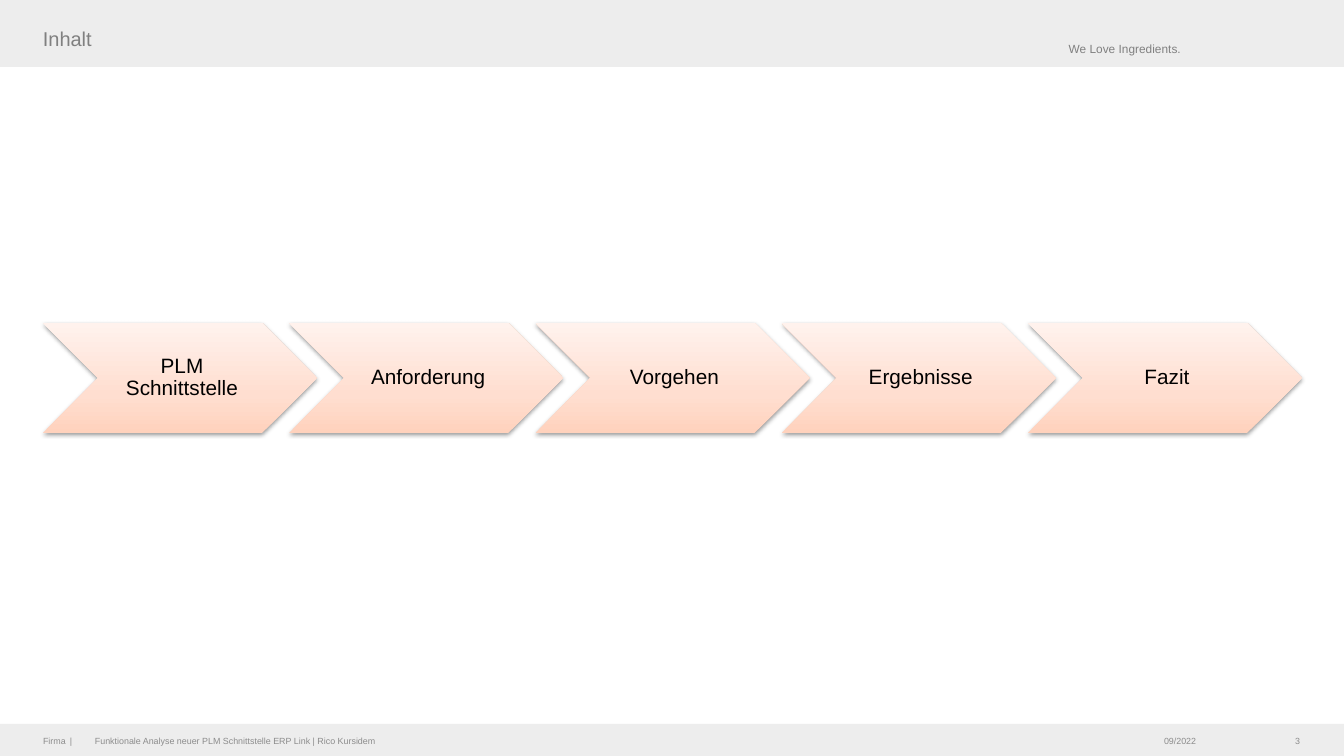
from copy import deepcopy

from pptx import Presentation, util as u
from pptx.dml.color import RGBColor
from pptx.enum import shapes, text
from pptx.oxml import ns, parse_xml

SCALE = 8572.5
LEFT, CENTER, RIGHT = text.PP_ALIGN.LEFT, text.PP_ALIGN.CENTER, text.PP_ALIGN.RIGHT
TOP, MIDDLE = text.MSO_ANCHOR.TOP, text.MSO_ANCHOR.MIDDLE
BAR, GREY, FOOT_GREY = "EDEDED", "808080", "8C8C8C"
STEPS = ["PLM Schnittstelle", "Anforderung", "Vorgehen", "Ergebnisse", "Fazit"]
STEP_WIDTH = 274
GRADIENT = [(0, "FFD2BD"), (0.35, "FFDED0"), (1, "FFF2ED")]
SHADOW = (
    f'<a:outerShdw {ns.nsdecls("a")} blurRad="40000" dist="20000" dir="5400000" '
    'rotWithShape="0"><a:srgbClr val="000000"><a:alpha val="38000"/></a:srgbClr>'
    '</a:outerShdw>'
)


def px(length):
    """Turn pixels into EMU."""
    return u.Emu(round(length * SCALE))


def color(value):
    """Turn a hex string into a colour."""
    return RGBColor.from_string(value)


def apply(target, formats):
    """Set every attribute named in the dict."""
    for name, value in formats.items():
        setattr(target, name, value)


def write(shape, words, size, hue, align=LEFT, anchor=MIDDLE, insets=(11, 5, 11, 5), spacing=1.0):
    """Write one formatted paragraph into a shape."""
    frame = shape.text_frame
    sides = ("margin_left", "margin_top", "margin_right", "margin_bottom")
    apply(frame, dict(zip(sides, map(px, insets)), word_wrap=True, vertical_anchor=anchor))
    para = frame.paragraphs[0]
    apply(para, {"alignment": align, "line_spacing": spacing})
    span = para.add_run()
    span.text = words
    apply(span.font, {"name": "Arial", "size": u.Pt(size)})
    span.font.color.rgb = color(hue)


def label(page, box, words, size, hue, **layout):
    """Add a text box."""
    write(page.shapes.add_textbox(*map(px, box)), words, size, hue, **layout)


def outline_free(page, kind, box):
    """Add a preset shape with neither line nor shadow."""
    shape = page.shapes.add_shape(kind, *map(px, box))
    shape.line.fill.background()
    shape.shadow.inherit = False
    return shape


def bar(page, box):
    """Add a plain grey band."""
    band = outline_free(page, shapes.MSO_SHAPE.RECTANGLE, box)
    band.fill.solid()
    band.fill.fore_color.rgb = color(BAR)


def header(page, box):
    """Draw the top band with title and slogan."""
    left, top, width, height = box
    bar(page, box)
    label(page, (left + 103, top + 37, width - 255, 55), "We Love Ingredients.", 8, GREY,
          align=RIGHT, anchor=TOP)
    label(page, (left + 43, top + 22, 855, 46), "Inhalt", 13.5, GREY,
          anchor=TOP, insets=(0, 5, 11, 5))


def footer(page, box):
    """Draw the bottom band with its four entries."""
    left, top, width, height = box
    bar(page, box)
    entries = [
        (43, 26, "Firma", LEFT, 0),
        (70, 20, "|", LEFT, 0),
        (95, 915, "Funktionale Analyse neuer PLM Schnittstelle ERP Link | Rico Kursidem", LEFT, 0),
        (1154, 89, "09/2022", LEFT, 10),
        (1189, 111, "3", RIGHT, 0),
    ]
    for offset, span_width, words, align, inset in entries:
        label(page, (left + offset, top + 1, span_width, height), words, 6, FOOT_GREY,
              align=align, insets=(inset, 5, 0, 5))


def chevron(page, box, words):
    """Draw one shaded step of the agenda."""
    step = outline_free(page, shapes.MSO_SHAPE.CHEVRON, box)
    step.fill.gradient()
    step.fill.gradient_angle = 90
    properties = step._element.spPr
    stop_list = properties.find(".//" + ns.qn("a:gsLst"))
    stop_list.append(deepcopy(stop_list[-1]))
    for stop, (position, hue) in zip(step.fill.gradient_stops, GRADIENT):
        stop.position = position
        stop.color.rgb = color(hue)
    properties.find(ns.qn("a:effectLst")).append(parse_xml(SHADOW))
    write(step, words, 14, "000000", align=CENTER, insets=(6, 2, 2, 2), spacing=0.9)


def agenda(page, box):
    """Spread the steps evenly over the box."""
    left, top, width, height = box
    pitch = (width - STEP_WIDTH) / (len(STEPS) - 1)
    for index, words in enumerate(STEPS):
        chevron(page, (left + index * pitch, top, STEP_WIDTH, height), words)


def main():
    """Build and save the deck."""
    deck = Presentation()
    apply(deck, {"slide_width": px(1344), "slide_height": px(756)})
    page = deck.slides.add_slide(deck.slide_layouts[6])
    header(page, (0, 0, 1344, 67))
    footer(page, (0, 724, 1344, 32))
    agenda(page, (43, 323, 1259, 110))
    deck.save("out.pptx")


if __name__ == "__main__":
    main()
